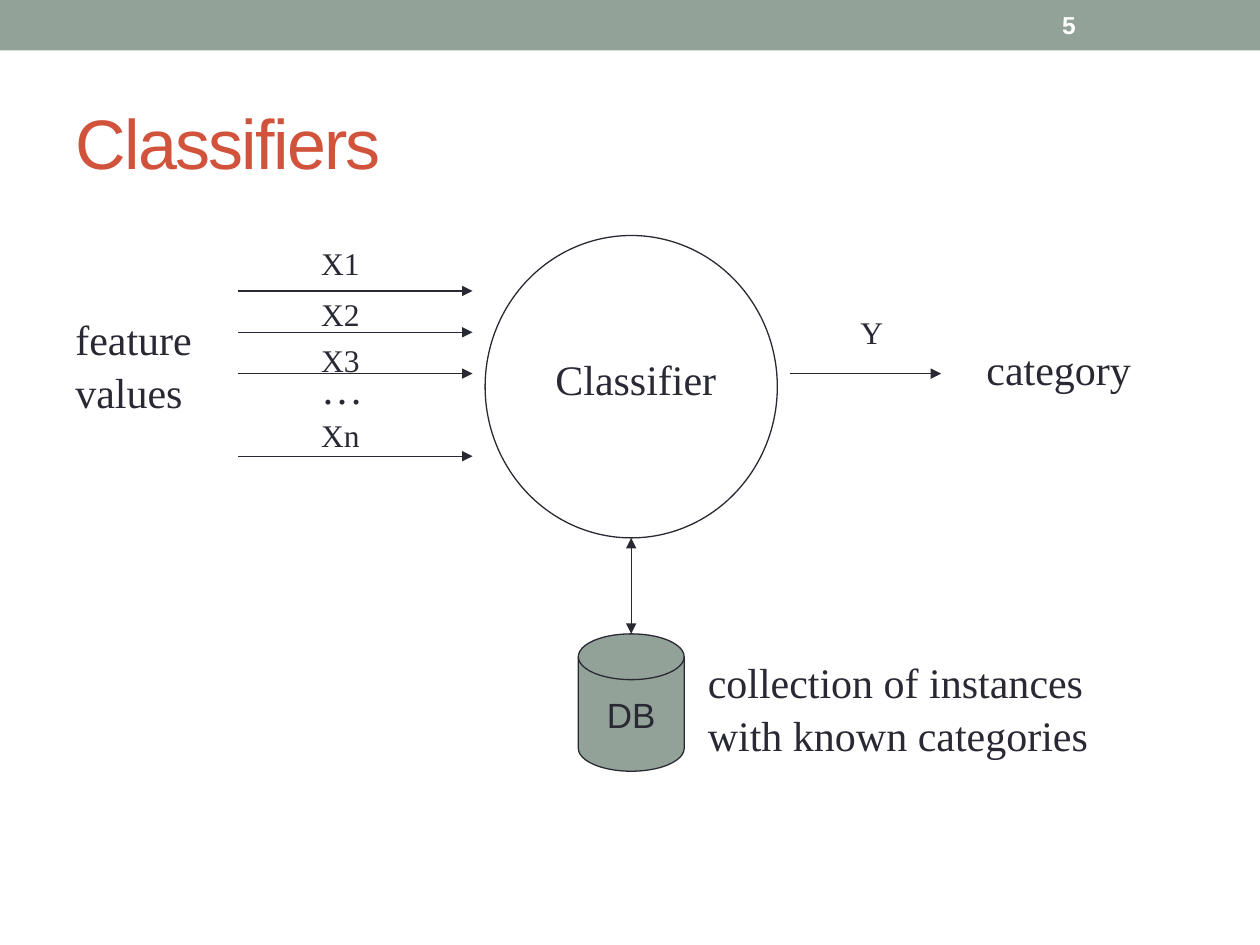
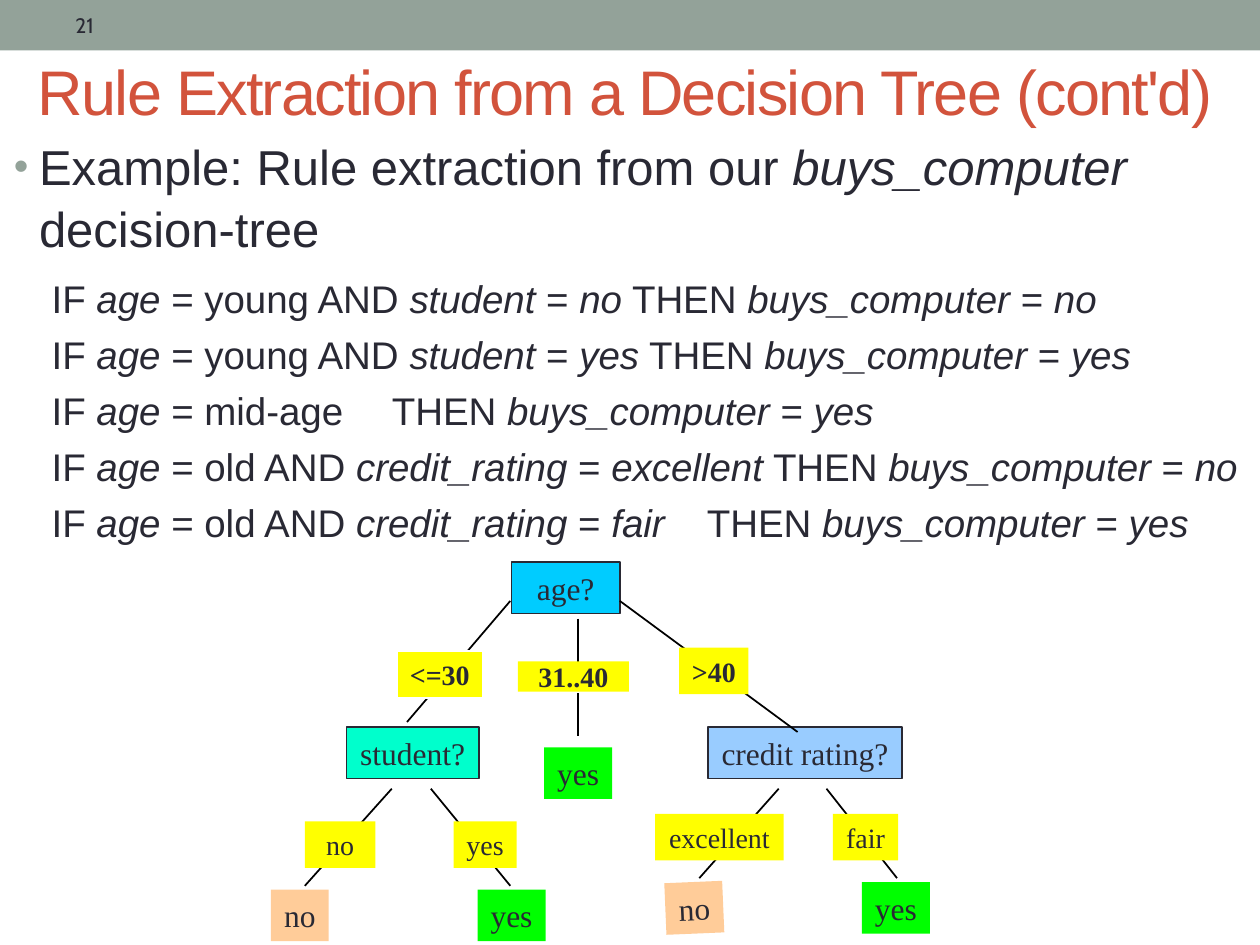
from pptx import Presentation
from pptx.dml.color import RGBColor
from pptx.enum.shapes import MSO_CONNECTOR as Link, MSO_SHAPE as Form
from pptx.enum.text import MSO_ANCHOR as Anchor, MSO_AUTO_SIZE as Fit, PP_ALIGN as Align
from pptx.oxml.ns import qn
from pptx.util import Pt
from lxml.etree import SubElement as Sub


def color(code):
    return RGBColor.from_string(code)


class Deck:
    ink, sage, rust = "292934", "93A299", "D2533C"
    sans, serif = "Arial", "Times New Roman"
    space = 1.05

    def __init__(self):
        self.show = Presentation()
        self.show.slide_width, self.show.slide_height = Pt(720), Pt(540)
        self.slide = None

    def start(self, kind, title, box, size):
        first = self.slide is None
        self.slide = self.show.slides.add_slide(self.show.slide_layouts[kind])
        if first:
            self.band()
        head = self.slide.shapes.title
        self.place(head, box)
        frame = head.text_frame
        frame.text = title
        frame.auto_size = Fit.NONE
        frame.vertical_anchor = Anchor.MIDDLE
        frame.paragraphs[0].alignment = Align.LEFT
        run = frame.paragraphs[0].runs[0]
        self.font(run, size, self.sans, self.rust)
        run.font._element.set("spc", "-100")

    def band(self):
        bar = self.shape(Form.RECTANGLE, (0, 0, 720, 28.8), self.sage)
        bar.element[0][0].set("id", "90")
        self.show.slide_master.shapes.element.insert(2, bar.element)

    def place(self, shape, box):
        shape.left, shape.top, shape.width, shape.height = map(Pt, box)

    def font(self, run, size, face, tint, bold=False):
        font = run.font
        font.size, font.name, font.bold = Pt(size), face, bold
        font.color.rgb = color(tint)

    def style(self, frame, *look):
        for para in frame.paragraphs:
            for run in para.runs:
                self.font(run, *look)

    def shape(self, form, box, fill=None, line=None, width=0.75):
        item = self.slide.shapes.add_shape(form, *map(Pt, box))
        item.shadow.inherit = False
        if fill:
            item.fill.solid()
            item.fill.fore_color.rgb = color(fill)
        else:
            item.fill.background()
        if line:
            item.line.color.rgb = color(line)
            item.line.width = Pt(width)
        else:
            item.line.fill.background()
        return item

    def node(self, text, box, fill, size=18, bold=False, line=None,
             form=Form.RECTANGLE, face=serif, width=1):
        item = self.shape(form, box, fill, line, width)
        frame = item.text_frame
        frame.text = text
        frame.word_wrap = False
        frame.vertical_anchor = Anchor.MIDDLE
        frame.paragraphs[0].alignment = Align.CENTER
        self.style(frame, size, face, self.ink, bold)
        return item

    def label(self, text, box, size=24):
        frame = self.slide.shapes.add_textbox(*map(Pt, box)).text_frame
        frame.word_wrap = True
        frame.text = text
        for para in frame.paragraphs:
            para.line_spacing = self.space
        self.style(frame, size, self.serif, self.ink)

    def number(self, text, box, *look):
        frame = self.slide.shapes.add_textbox(*map(Pt, box)).text_frame
        frame.word_wrap = True
        frame.vertical_anchor = Anchor.MIDDLE
        frame.text = text
        self.style(frame, *look)

    def edge(self, ends, tint="000000", width=1, heads=()):
        item = self.slide.shapes.add_connector(Link.STRAIGHT, *map(Pt, ends))
        item.line.color.rgb = color(tint)
        item.line.width = Pt(width)
        for head in heads:
            Sub(item.line._ln, qn("a:" + head), type="triangle")
        Sub(item.element.spPr, qn("a:effectLst"))

    def arrow(self, *ends, heads=("tailEnd",)):
        self.edge(ends, self.ink, 0.75, heads)

    def rich(self, para, text, size, left, before):
        para.line_spacing = self.space
        para.space_before = Pt(before)
        props = para._p.get_or_add_pPr()
        props.set("marL", str(Pt(left)))
        props.set("indent", str(Pt(-14.4)))
        for spot, part in enumerate(text.split("*")):
            if part:
                run = para.add_run()
                run.text = part
                self.font(run, size, self.sans, self.ink)
                run.font.italic = spot % 2 == 1
        return props

    def rules(self, box, intro, lines):
        body = self.slide.placeholders[1]
        self.place(body, box)
        frame = body.text_frame
        frame.auto_size = Fit.NONE
        props = self.rich(frame.paragraphs[0], intro, 28, 14.4, 0)
        Sub(Sub(props, qn("a:buClr")), qn("a:srgbClr"), val=self.sage)
        Sub(props, qn("a:buSzPct"), val="85000")
        Sub(props, qn("a:buChar"), char="•")
        for spot, (text, stop) in enumerate(lines):
            para = frame.add_paragraph()
            para.level = 1
            props = self.rich(para, text, 22, 36, 4.4 if spot else 8.8)
            Sub(props, qn("a:buNone"))
            if stop:
                Sub(Sub(props, qn("a:tabLst")), qn("a:tab"), pos=str(Pt(stop)), algn="l")


deck = Deck()

deck.start(5, "Classifiers", (36, 41.8, 648, 77.8), 40)
deck.shape(Form.OVAL, (277.2, 134.6, 167, 172.8), line=deck.ink)
deck.label("Classifier", (310.3, 197.3, 119.5, 47.5))
for step in (0, 1, 2, 4):
    high = 166.3 + 23.6 * step
    deck.arrow(136.1, high, 270, high)
deck.label("…", (176.4, 202.3, 43.2, 47.5))
deck.label("feature\nvalues", (36, 174.2, 91.4, 85.7))
deck.arrow(451.4, 213.5, 537.8, 213.5)
deck.label("category", (556.6, 191.5, 109.4, 47.5))
for text, top in (("X1", 134.6), ("X2", 164.2), ("X3", 190.1), ("Xn", 233.3)):
    deck.label(text, (176.4, top, 41, 38), 18)
deck.label("Y", (484.6, 174.2, 31, 38), 18)
deck.node("DB", (330.5, 362.2, 60.5, 78.5), deck.sage, 20, line=deck.ink,
          form=Form.FLOWCHART_MAGNETIC_DISK, face=deck.sans, width=0.75)
deck.arrow(360.7, 307.4, 360.7, 362.2, heads=("headEnd", "tailEnd"))
deck.label("collection of instances\vwith known categories", (397.4, 370.1, 260.6, 85.7))
deck.number("5", (599.8, 1.4, 84.2, 25.9), 14, deck.sans, "FFFFFF", True)

deck.start(1, "Rule Extraction from a Decision Tree (cont'd)", (14.4, 6.5, 692, 90), 36)
deck.number("21", (36, 1.4, 228.2, 25.9), 12, "Cabin", deck.ink)
deck.rules((0.7, 72.7, 720, 232.6),
           "Example: Rule extraction from our *buys_computer* decision-tree", (
    ("IF *age* = young AND *student* = *no* THEN *buys_computer* = *no*", None),
    ("IF *age* = young AND *student* = *yes* THEN *buys_computer* = *yes*", None),
    ("IF *age* = mid-age\tTHEN *buys_computer* = *yes*", 384),
    ("IF *age* = old AND *credit_rating* = *excellent* THEN *buys_computer *= *no*", None),
    ("IF *age* = old AND *credit_rating* = *fair*\tTHEN *buys_computer* = *yes*", 390.4),
))

for text, left, top, wide, fill in (
    ("age?", 292.3, 321.1, 61.9, "00CCFF"),
    ("student?", 198, 415.4, 75.6, "00FFCC"),
    ("credit rating?", 404.6, 415.4, 110.9, "99CCFF"),
):
    deck.node(text, (left, top, wide, 29.5), fill, line=deck.ink)

for ends in (
    (291.6, 343.4, 232.6, 412.6),
    (330.5, 353.5, 330.5, 378.7),
    (330.5, 396, 330.5, 420.5),
    (354.2, 343.4, 455.8, 418.3),
    (223.9, 450.7, 174.2, 506.2),
    (246.2, 450.7, 291.6, 506.2),
    (445, 450.7, 399.6, 501.8),
    (472.3, 450.7, 512.6, 501.8),
):
    deck.edge(ends)

for text, left, top, wide, tall, bold, line in (
    ("<=30", 226.8, 372.2, 49, 26.6, True, "FFFFFF"),
    ("31..40", 295.9, 378, 63.4, 17.3, True, None),
    (">40", 388.1, 370.1, 39.6, 26.6, True, None),
    ("no", 174.2, 469.4, 40.3, 26.6, False, None),
    ("yes", 259.2, 469.4, 36, 26.6, False, None),
    ("excellent", 374.4, 465.1, 73.4, 26.6, False, None),
    ("fair", 475.9, 465.1, 37.4, 26.6, False, None),
):
    deck.node(text, (left, top, wide, tall), "FFFF00", 16, bold, line)

leaves = {"no": (33.1, "FFCC99"), "yes": (38.9, "00FF00")}
for text, left, top, turn in (
    ("no", 154.8, 508.3, 0),
    ("yes", 272.9, 508.3, 0),
    ("yes", 311, 427, 0),
    ("no", 380.2, 504, 357.6),
    ("yes", 492.5, 504, 0),
):
    wide, fill = leaves[text]
    deck.node(text, (left, top, wide, 29.5), fill).rotation = turn

deck.show.save("out.pptx")
